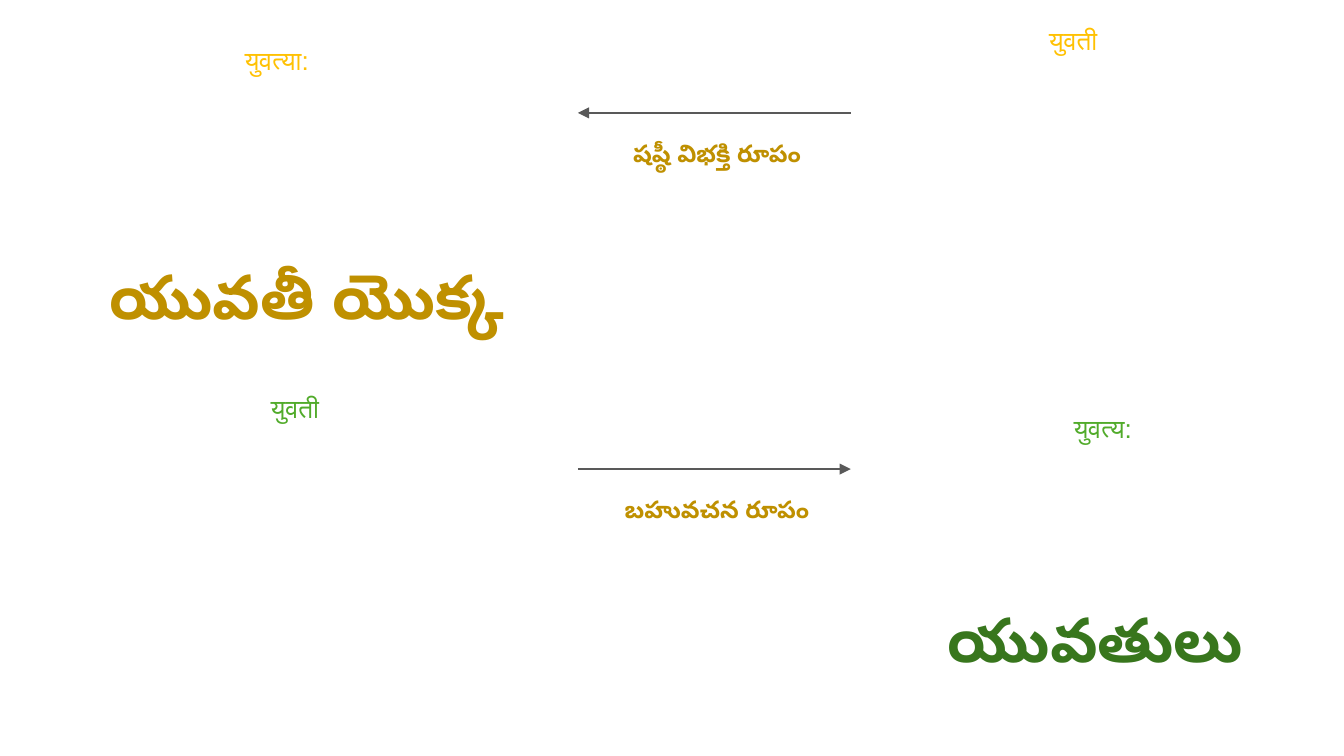
from dataclasses import dataclass

from pptx import Presentation
from pptx.dml.color import RGBColor
from pptx.enum.shapes import MSO_CONNECTOR
from pptx.enum.text import MSO_ANCHOR, MSO_AUTO_SIZE, PP_ALIGN
from pptx.oxml.xmlchemy import OxmlElement
from pptx.util import Pt

STRAIGHT = MSO_CONNECTOR.STRAIGHT
TOP = MSO_ANCHOR.TOP
NO_FIT = MSO_AUTO_SIZE.NONE
CENTER = PP_ALIGN.CENTER


@dataclass(frozen=True)
class Theme:
    """Colours and type sizes of the slide."""
    font: str = "Arial"
    amber: str = "FFC102"
    ochre: str = "BF9000"
    leaf: str = "51AB2A"
    forest: str = "38761D"
    line: str = "595959"
    word_size: float = 14
    label_size: float = 13
    meaning_size: float = 33
    line_width: float = 0.75


THEME = Theme()
BLANK_LAYOUT = 6
WORD_INSETS = (7.2, 3.6)
TELUGU_INSETS = (7.2, 7.2)


def add_text(slide, box, text, size, color, insets, bold=False):
    """Place one centred line of text in box (left, top, width, height)."""
    frame = slide.shapes.add_textbox(*map(Pt, box)).text_frame
    side, edge = map(Pt, insets)
    frame_format = {
        "word_wrap": True, "auto_size": NO_FIT, "vertical_anchor": TOP,
        "margin_left": side, "margin_right": side,
        "margin_top": edge, "margin_bottom": edge,
    }
    for name, value in frame_format.items():
        setattr(frame, name, value)
    paragraph = frame.paragraphs[0]
    paragraph.alignment = CENTER
    run = paragraph.add_run()
    run.text = text
    for name, value in {"name": THEME.font, "size": Pt(size), "bold": bold}.items():
        setattr(run.font, name, value)
    run.font.color.rgb = RGBColor.from_string(color)
    complex_script = OxmlElement("a:cs")
    complex_script.set("typeface", THEME.font)
    run.font._element.append(complex_script)


def add_arrow(slide, start, end, y):
    """Draw a horizontal arrow from start to end at height y."""
    arrow = slide.shapes.add_connector(STRAIGHT, Pt(start), Pt(y), Pt(end), Pt(y))
    arrow.line.color.rgb = RGBColor.from_string(THEME.line)
    arrow.line.width = Pt(THEME.line_width)
    head = OxmlElement("a:tailEnd")
    head.set("type", "triangle")
    arrow.line._get_or_add_ln().append(head)
    arrow._element.spPr.append(OxmlElement("a:effectLst"))


def add_form_change(slide, box, words, word_color, rule, meaning, meaning_color, arrow_ends):
    """Place two Sanskrit forms, the arrow and rule between them, and the meaning."""
    left, top, _, _ = box

    def within(area):
        return (left + area[0], top + area[1], area[2], area[3])

    for word, area in words:
        add_text(slide, within(area), word, THEME.word_size, word_color, WORD_INSETS)
    start, end = arrow_ends
    add_arrow(slide, left + start, left + end, top + 60.5)
    add_text(slide, within((313.2, 67, 141.8, 30.2)), rule,
             THEME.label_size, THEME.ochre, TELUGU_INSETS, True)
    text, area = meaning
    add_text(slide, within(area), text, THEME.meaning_size, meaning_color,
             TELUGU_INSETS, True)


def main():
    """Build the slide with its two form changes."""
    deck = Presentation()
    deck.slide_width, deck.slide_height = Pt(720), Pt(405)
    slide = deck.slides.add_slide(deck.slide_layouts[BLANK_LAYOUT])
    arrow_left, arrow_right = 309.6, 455.8
    add_form_change(
        slide, (0, 0, 720, 190.8),
        words=[("युवत्या:", (19.4, 20.2, 257.8, 95.8)),
               ("युवती", (473.8, 9.4, 202.3, 117.4))],
        word_color=THEME.amber,
        rule="షష్ఠీ విభక్తి రూపం",
        meaning=("యువతీ యొక్క", (28.1, 131, 272.9, 54.7)),
        meaning_color=THEME.ochre,
        arrow_ends=(arrow_right, arrow_left),
    )
    add_form_change(
        slide, (0, 190.8, 720, 190.8),
        words=[("युवती", (56.9, 15.8, 202.3, 117.4)),
               ("युवत्य:", (473.8, 26.6, 234, 95.8))],
        word_color=THEME.leaf,
        rule="బహువచన రూపం",
        meaning=("యువతులు ", (470.2, 123.8, 241.9, 54.7)),
        meaning_color=THEME.forest,
        arrow_ends=(arrow_left, arrow_right),
    )
    deck.save("out.pptx")


if __name__ == "__main__":
    main()
